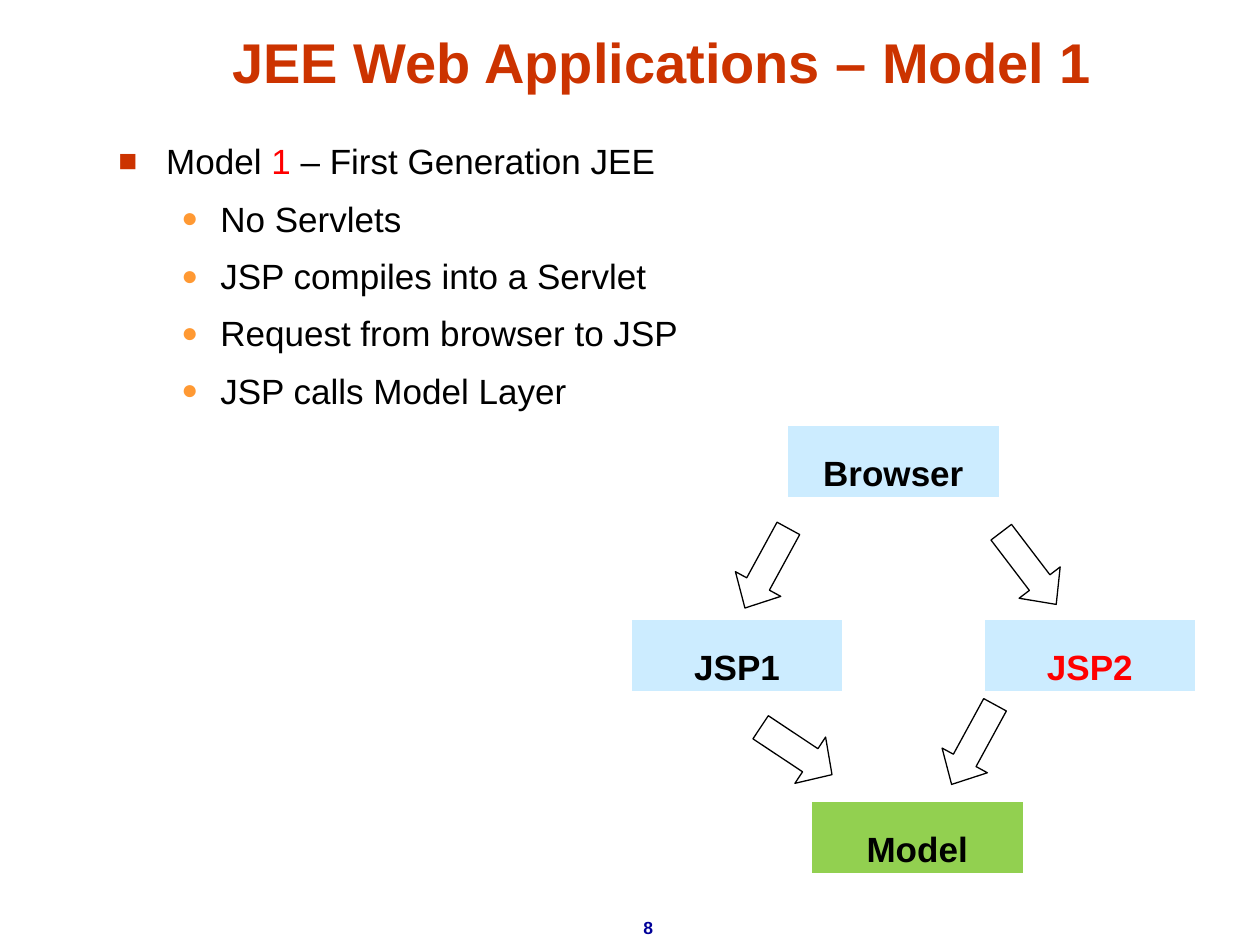
import dataclasses
import typing

import lxml.etree
import pptx
import pptx.dml.color
import pptx.enum.shapes
import pptx.enum.text
import pptx.oxml.ns
import pptx.util

RGB = pptx.dml.color.RGBColor
SHAPE = pptx.enum.shapes.MSO_SHAPE
ANCHOR = pptx.enum.text.MSO_ANCHOR
ALIGN = pptx.enum.text.PP_ALIGN
Inches = pptx.util.Inches
Pt = pptx.util.Pt

RUST = RGB(0xCC, 0x33, 0x00)
AMBER = RGB(0xFF, 0x99, 0x33)
RED = RGB(0xFF, 0x00, 0x00)
BLACK = RGB(0x00, 0x00, 0x00)
WHITE = RGB(0xFF, 0xFF, 0xFF)
NAVY = RGB(0x00, 0x00, 0x99)
SKY = RGB(0xCC, 0xEC, 0xFF)
GREEN = RGB(0x92, 0xD0, 0x50)

WIDE, HIGH = 10, 7.5
COLS, ROWS = 100, 75
BOX_W, BOX_H = 17, 5.9


class Run(typing.NamedTuple):
    text: str
    ink: RGB = BLACK


@dataclasses.dataclass(frozen=True)
class Level:
    mark: str
    ink: RGB
    size: int
    left: float
    hang: float


@dataclasses.dataclass(frozen=True)
class Box:
    text: str
    col: float
    row: float
    fill: RGB = SKY
    ink: RGB = BLACK


@dataclasses.dataclass(frozen=True)
class Arrow:
    col: float
    row: float
    turn: float
    wide: float = 4.1
    high: float = 7.2
    head: float = 0.53


MAIN = Level("■", RUST, 90, 0.38, 0.38)
SUB = Level("●", AMBER, 80, 0.81, 0.31)

POINTS = [(MAIN, [Run("Model "), Run("1", RED), Run(" – First Generation JEE")])] + [
    (SUB, [Run(text)])
    for text in (
        "No Servlets",
        "JSP compiles into a Servlet",
        "Request from browser to JSP",
        "JSP calls Model Layer",
    )
]
BOXES = [
    Box("Browser", 62.4, 33.7),
    Box("JSP1", 50, 49.1),
    Box("JSP2", 78, 49.1, ink=RED),
    Box("Model", 64.3, 63.5, fill=GREEN),
]
ARROWS = [
    Arrow(58.8, 41.5, 28.6),
    Arrow(79.6, 41.5, 322.7),
    Arrow(61, 56.2, 303.6, 4.4, 6.8, 0.47),
    Arrow(75.2, 55.5, 28.6),
]


def place(col: float, row: float, wide: float, high: float) -> tuple:
    return (
        Inches(col * WIDE / COLS),
        Inches(row * HIGH / ROWS),
        Inches(wide * WIDE / COLS),
        Inches(high * HIGH / ROWS),
    )


def style(thing: typing.Any, **form: typing.Any) -> None:
    for name, value in form.items():
        setattr(thing, name, value)


def write(para: typing.Any, part: Run, size: float, bold: bool) -> None:
    run = para.add_run()
    run.text = part.text
    style(run.font, name="Arial", size=Pt(size), bold=bold)
    run.font.color.rgb = part.ink


def mark(para: typing.Any, level: Level) -> None:
    props = para._p.get_or_add_pPr()
    props.set("marL", str(Inches(level.left)))
    props.set("indent", str(-Inches(level.hang)))
    tag = pptx.oxml.ns.qn
    tint = lxml.etree.SubElement(props, tag("a:buClr"))
    lxml.etree.SubElement(tint, tag("a:srgbClr"), val=str(level.ink))
    lxml.etree.SubElement(props, tag("a:buSzPct"), val=str(level.size * 1000))
    lxml.etree.SubElement(props, tag("a:buFont"), typeface="Arial")
    lxml.etree.SubElement(props, tag("a:buChar"), char=level.mark)


def add_title(slide: typing.Any, text: str) -> None:
    title = slide.shapes.title
    left, top, width, height = place(8.4, 1.3, 88.3, 6.7)
    style(title, left=left, top=top, width=width, height=height)
    frame = title.text_frame
    style(
        frame,
        vertical_anchor=ANCHOR.BOTTOM,
        auto_size=pptx.enum.text.MSO_AUTO_SIZE.NONE,
        word_wrap=True,
    )
    para = frame.paragraphs[0]
    para.alignment = ALIGN.CENTER
    write(para, Run(text, RUST), 32, True)


def add_list(slide: typing.Any) -> None:
    frame = slide.shapes.add_textbox(*place(8.4, 10.6, 83.8, 23.1)).text_frame
    frame.word_wrap = True
    for i, (level, runs) in enumerate(POINTS):
        para = frame.add_paragraph() if i else frame.paragraphs[0]
        style(para, space_before=Pt(8.8), level=int(level is SUB))
        mark(para, level)
        for part in runs:
            write(para, part, 20, False)


def add_shape(slide: typing.Any, kind: SHAPE, spot: tuple, fill: RGB, edge: RGB, line: float) -> typing.Any:
    shape = slide.shapes.add_shape(kind, *spot)
    shape.shadow.inherit = False
    shape.fill.solid()
    shape.fill.fore_color.rgb = fill
    shape.line.color.rgb = edge
    shape.line.width = Pt(line)
    return shape


def add_box(slide: typing.Any, box: Box) -> None:
    spot = place(box.col, box.row, BOX_W, BOX_H)
    shape = add_shape(slide, SHAPE.RECTANGLE, spot, box.fill, WHITE, 2)
    frame = shape.text_frame
    style(frame, word_wrap=False, vertical_anchor=ANCHOR.TOP)
    para = frame.paragraphs[0]
    style(para, alignment=ALIGN.CENTER, line_spacing=1.5)
    write(para, Run(box.text, box.ink), 20, True)


def add_arrow(slide: typing.Any, arrow: Arrow) -> None:
    spot = place(arrow.col, arrow.row, arrow.wide, arrow.high)
    shape = add_shape(slide, SHAPE.DOWN_ARROW, spot, WHITE, BLACK, 0.75)
    shape.rotation = arrow.turn
    shape.adjustments[0] = 0.5
    shape.adjustments[1] = arrow.head


def add_page(slide: typing.Any, text: str) -> None:
    frame = slide.shapes.add_textbox(*place(47.1, 72.3, 8.7, 2.7)).text_frame
    frame.word_wrap = False
    para = frame.paragraphs[0]
    style(para, alignment=ALIGN.CENTER, space_before=Pt(6.2))
    write(para, Run(text, NAVY), 10, True)


def main() -> None:
    deck = pptx.Presentation()
    style(deck, slide_width=Inches(WIDE), slide_height=Inches(HIGH))
    slide = deck.slides.add_slide(deck.slide_layouts.get_by_name("Title Only"))
    add_page(slide, "8")
    add_title(slide, "JEE Web Applications – Model 1")
    add_list(slide)
    for box in BOXES:
        add_box(slide, box)
    for arrow in ARROWS:
        add_arrow(slide, arrow)
    deck.save("out.pptx")


if __name__ == "__main__":
    main()
